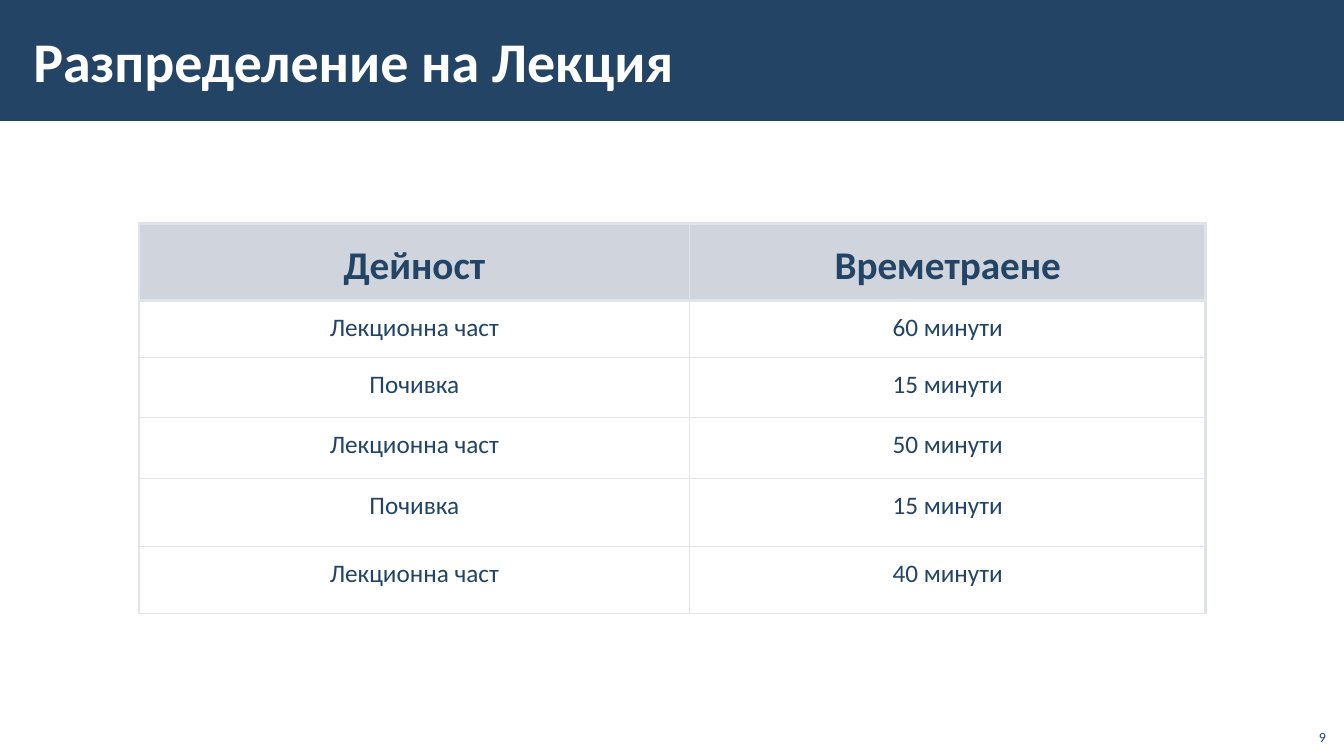
from lxml.etree import SubElement
from pptx import Presentation
from pptx.dml.color import RGBColor
from pptx.enum.shapes import MSO_SHAPE
from pptx.enum.text import MSO_ANCHOR, PP_ALIGN
from pptx.oxml.ns import qn
from pptx.util import Inches, Pt

NAVY, WHITE, HEADER_GREY, BORDER_GREY = "234465", "FFFFFF", "A3ABBC", "E0E3E9"
SLIDE_WIDTH, SLIDE_HEIGHT = 13.33, 7.5
THICK, THIN = 2.25, 1
COLUMN_WIDTHS = [5.46, 5.12]
ROW_HEIGHTS = [0.76, 0.57, 0.59, 0.61, 0.67, 0.67]
SCHEDULE = [
    ("Дейност", "Времетраене"),
    ("Лекционна част", "60 минути"),
    ("Почивка", "15 минути"),
    ("Лекционна част", "50 минути"),
    ("Почивка", "15 минути"),
    ("Лекционна част", "40 минути"),
]


def colour(hex_string):
    return RGBColor.from_string(hex_string)


def write(frame, text, size, hex_colour, align, bold=False):
    frame.text = text
    para = frame.paragraphs[0]
    para.alignment = align
    para.font.name = "Calibri"
    para.font.size = Pt(size)
    para.font.bold = bold
    para.font.color.rgb = colour(hex_colour)
    return para


def set_margins(target, left, top, right, bottom):
    target.margin_left, target.margin_top = Inches(left), Inches(top)
    target.margin_right, target.margin_bottom = Inches(right), Inches(bottom)


def add_title(slide, text):
    """Format the title placeholder and lay a full-width band behind it."""
    title = slide.shapes.title
    title.left, title.top = Inches(0.21), Inches(0.11)
    title.width, title.height = Inches(10.63), Inches(0.97)
    frame = title.text_frame
    frame.vertical_anchor = MSO_ANCHOR.MIDDLE
    set_margins(frame, 0.12, 0.04, 0.12, 0.04)
    write(frame, text, 40, WHITE, PP_ALIGN.LEFT, bold=True)

    band = slide.shapes.add_shape(
        MSO_SHAPE.RECTANGLE, 0, 0, Inches(SLIDE_WIDTH), Inches(SLIDE_HEIGHT * 0.16))
    band.shadow.inherit = False
    band.fill.solid()
    band.fill.fore_color.rgb = colour(NAVY)
    band.line.fill.background()
    title.element.addprevious(band.element)


def add_borders(cell, widths):
    """Draw the cell's borders, given in points as left, right, top, bottom."""
    properties = cell._tc.get_or_add_tcPr()
    for side, width in zip("LRTB", widths):
        line = SubElement(properties, qn(f"a:ln{side}"), w=str(Pt(width)))
        fill = SubElement(line, qn("a:solidFill"))
        SubElement(fill, qn("a:srgbClr"), val=BORDER_GREY)


def format_header(cell, text):
    cell.vertical_anchor = MSO_ANCHOR.MIDDLE
    set_margins(cell, 0.16, 0.12, 0.16, 0.05)
    para = write(cell.text_frame, text, 28, NAVY, PP_ALIGN.CENTER, bold=True)
    para.line_spacing = 0.95
    cell.fill.solid()
    cell.fill.fore_color.rgb = colour(HEADER_GREY)
    shade = cell._tc.tcPr.find(f"{qn('a:solidFill')}/{qn('a:srgbClr')}")
    SubElement(shade, qn("a:alpha"), val="50000")


def format_body(cell, text):
    cell.vertical_anchor = MSO_ANCHOR.TOP
    set_margins(cell, 0.1, 0.12, 0.1, 0.05)
    write(cell.text_frame, text, 18, NAVY, PP_ALIGN.CENTER)
    cell.fill.background()


def add_schedule(slide):
    table = slide.shapes.add_table(
        len(ROW_HEIGHTS), len(COLUMN_WIDTHS), Inches(1.38), Inches(2.22),
        Inches(sum(COLUMN_WIDTHS)), Inches(sum(ROW_HEIGHTS))).table
    table.first_row = table.horz_banding = False
    for column, width in zip(table.columns, COLUMN_WIDTHS):
        column.width = Inches(width)
    for row, height in zip(table.rows, ROW_HEIGHTS):
        row.height = Inches(height)

    last_column = len(COLUMN_WIDTHS) - 1
    for row_index, texts in enumerate(SCHEDULE):
        for column_index, text in enumerate(texts):
            cell = table.cell(row_index, column_index)
            add_borders(cell, (
                THICK if column_index == 0 else THIN,
                THICK if column_index == last_column else THIN,
                THICK if row_index <= 1 else THIN,
                THICK if row_index == 0 else THIN))
            if row_index == 0:
                format_header(cell, text)
            else:
                format_body(cell, text)


def add_page_number(slide, number):
    box = slide.shapes.add_textbox(
        Inches(12.85), Inches(7.12), Inches(0.4), Inches(0.32))
    frame = box.text_frame
    frame.word_wrap = True
    frame.vertical_anchor = MSO_ANCHOR.BOTTOM
    write(frame, number, 10, NAVY, PP_ALIGN.RIGHT)


def main():
    deck = Presentation()
    deck.slide_width, deck.slide_height = Inches(SLIDE_WIDTH), Inches(SLIDE_HEIGHT)
    slide = deck.slides.add_slide(deck.slide_layouts.get_by_name("Title Only"))
    add_title(slide, "Разпределение на Лекция")
    add_schedule(slide)
    add_page_number(slide, "9")
    deck.save("out.pptx")


if __name__ == "__main__":
    main()
